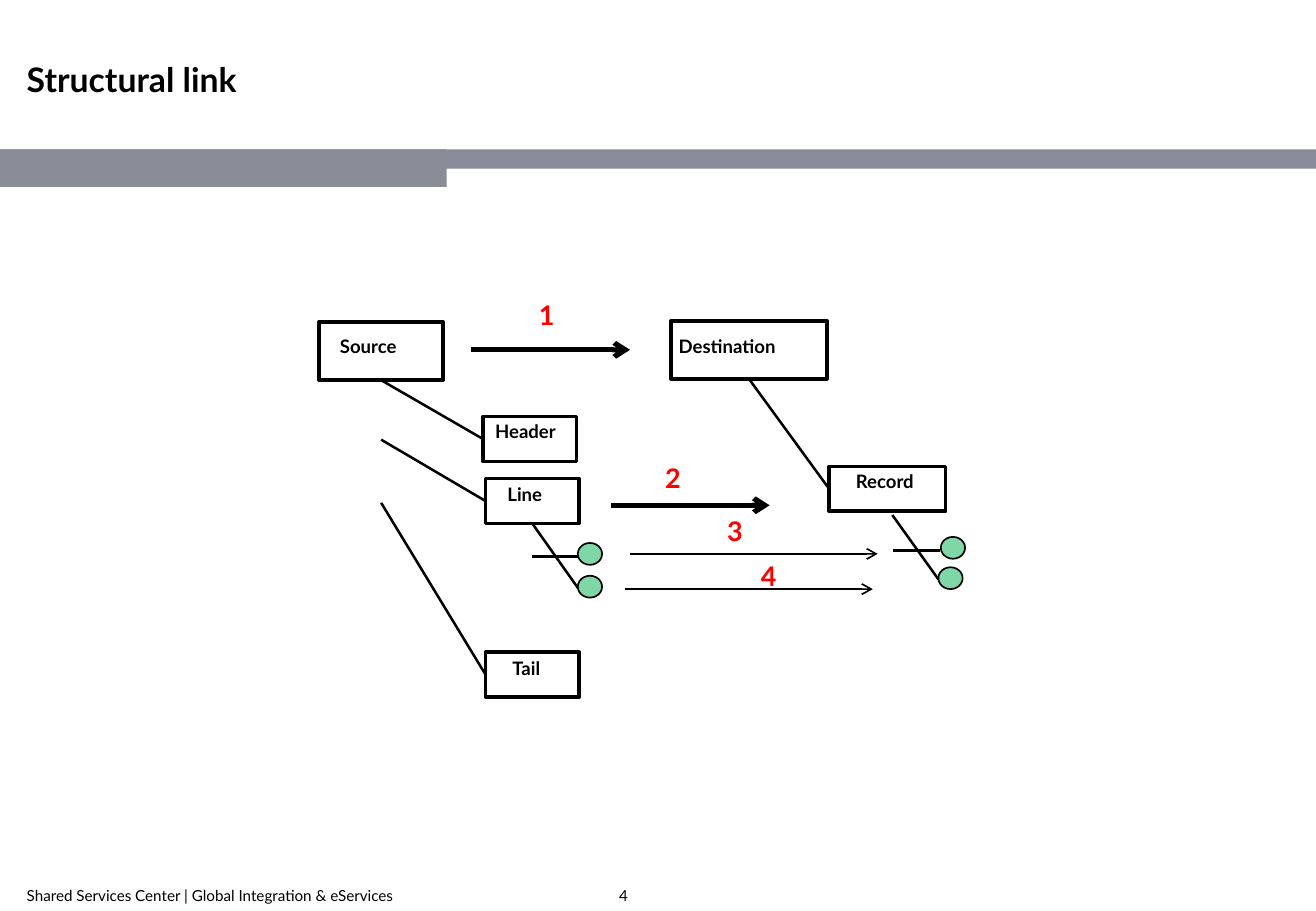
from dataclasses import dataclass
from typing import Optional

from lxml.etree import SubElement
from pptx import Presentation
from pptx.dml.color import RGBColor
from pptx.enum.shapes import MSO_CONNECTOR, MSO_SHAPE
from pptx.enum.text import MSO_ANCHOR, MSO_AUTO_SIZE, PP_ALIGN
from pptx.oxml.ns import qn
from pptx.shapes.autoshape import Shape
from pptx.slide import Slide
from pptx.text.text import TextFrame
from pptx.util import Inches, Pt


@dataclass(frozen=True)
class Theme:
    font: str = "Lato"
    ink: str = "000000"
    step: str = "FF0000"
    band: str = "878C96"
    field: str = "00B050"
    field_alpha: int = 50000
    title_size: float = 20
    step_size: float = 16
    node_size: float = 11
    footer_size: float = 9
    node_line: float = 2.25
    tree_line: float = 1.5
    thin_line: float = 1
    thick_line: float = 3


@dataclass(frozen=True)
class Area:
    left: float
    top: float
    width: float
    height: float

    def lengths(self) -> list[int]:
        return [Inches(v) for v in (self.left, self.top, self.width, self.height)]


@dataclass(frozen=True)
class Node:
    label: str
    area: Area
    indent: float
    drop: float


@dataclass(frozen=True)
class Link:
    start: tuple[float, float]
    end: tuple[float, float]
    weight: float
    arrow: bool = False
    parent: Optional[str] = None
    child: Optional[str] = None


@dataclass(frozen=True)
class Step:
    number: str
    left: float
    top: float


THEME = Theme()
BOTTOM, LEFT = 2, 1

BANDS = [Area(0, 1.23, 10.84, 0.16), Area(0, 1.23, 3.68, 0.31)]
NODES = [
    Node("Source", Area(2.63, 2.65, 1.02, 0.48), 0.17, 0.11),
    Node("Header", Area(3.98, 3.43, 0.77, 0.37), 0.1, 0.03),
    Node("Line", Area(4, 3.94, 0.77, 0.37), 0.18, 0.04),
    Node("Tail", Area(4, 5.37, 0.77, 0.37), 0.22, 0.04),
    Node("Destination", Area(5.53, 2.64, 1.28, 0.48), 0.06, 0.12),
    Node("Record", Area(6.83, 3.84, 0.96, 0.37), 0.22, 0.03),
]
TREE = [
    Link((3.14, 3.13), (3.98, 3.62), THEME.tree_line, parent="Source", child="Header"),
    Link((3.14, 3.62), (4, 4.13), THEME.tree_line, child="Line"),
    Link((3.14, 4.14), (4, 5.55), THEME.tree_line, child="Tail"),
    Link((6.17, 3.12), (6.83, 4.03), THEME.tree_line, parent="Destination", child="Record"),
    Link((4.38, 4.31), (4.76, 4.84), THEME.tree_line, parent="Line"),
    Link((4.38, 4.58), (4.76, 4.58), THEME.tree_line),
    Link((7.35, 4.24), (7.73, 4.77), THEME.tree_line),
    Link((7.36, 4.53), (7.74, 4.53), THEME.tree_line),
]
MAPPINGS = [
    Link((3.88, 2.88), (5.19, 2.88), THEME.thick_line, arrow=True),
    Link((5.03, 4.16), (6.34, 4.16), THEME.thick_line, arrow=True),
    Link((5.19, 4.56), (7.23, 4.56), THEME.thin_line, arrow=True),
    Link((5.15, 4.85), (7.19, 4.85), THEME.thin_line, arrow=True),
]
FIELDS = [
    Area(left, top, 0.2, 0.18)
    for left, top in [(4.76, 4.47), (4.76, 4.74), (7.75, 4.42), (7.73, 4.67)]
]
STEPS = [
    Step("1", 4.34, 2.41),
    Step("2", 5.38, 3.75),
    Step("3", 5.89, 4.19),
    Step("4", 6.17, 4.56),
]
FOOTERS = {
    "Shared Services Center | Global Integration & eServices": Area(0.22, 7.29, 4.65, 0.16),
    "4": Area(5.1, 7.29, 0.63, 0.16),
}


def write(frame: TextFrame, text: str, size: float, color: str, bold: bool = True,
          insets: tuple[float, float] = (0, 0), wrap: bool = True,
          anchor: MSO_ANCHOR = MSO_ANCHOR.TOP) -> None:
    frame.text = text
    frame.word_wrap = wrap
    frame.auto_size = MSO_AUTO_SIZE.NONE
    frame.vertical_anchor = anchor
    frame.margin_left, frame.margin_top = (Inches(v) for v in insets)
    frame.margin_right = frame.margin_bottom = 0
    paragraph = frame.paragraphs[0]
    paragraph.alignment = PP_ALIGN.LEFT
    font = paragraph.runs[0].font
    font.name = THEME.font
    font.size = Pt(size)
    font.bold = bold
    font.color.rgb = RGBColor.from_string(color)


def add_figure(slide: Slide, kind: MSO_SHAPE, area: Area, fill: Optional[str] = None,
               weight: float = 0) -> Shape:
    figure = slide.shapes.add_shape(kind, *area.lengths())
    figure.shadow.inherit = False
    if fill:
        figure.fill.solid()
        figure.fill.fore_color.rgb = RGBColor.from_string(fill)
    else:
        figure.fill.background()
    if weight:
        figure.line.width = Pt(weight)
        figure.line.color.rgb = RGBColor.from_string(THEME.ink)
    else:
        figure.line.fill.background()
    return figure


def add_node(slide: Slide, node: Node) -> Shape:
    box = add_figure(slide, MSO_SHAPE.RECTANGLE, node.area, weight=THEME.node_line)
    write(box.text_frame, node.label, THEME.node_size, THEME.ink,
          insets=(node.indent, node.drop))
    return box


def add_field(slide: Slide, area: Area) -> None:
    dot = add_figure(slide, MSO_SHAPE.OVAL, area, THEME.field, THEME.thin_line)
    color = dot.fill._xPr.find(qn("a:solidFill"))[0]
    SubElement(color, qn("a:alpha"), val=str(THEME.field_alpha))


def add_link(slide: Slide, link: Link, boxes: dict[str, Shape]) -> None:
    ends = [Inches(v) for v in (*link.start, *link.end)]
    connector = slide.shapes.add_connector(MSO_CONNECTOR.STRAIGHT, *ends)
    connector.line.width = Pt(link.weight)
    connector.line.color.rgb = RGBColor.from_string(THEME.ink)
    if link.arrow:
        SubElement(connector.line._get_or_add_ln(), qn("a:tailEnd"), type="arrow")
    SubElement(connector._element.spPr, qn("a:effectLst"))
    if link.parent:
        connector.begin_connect(boxes[link.parent], BOTTOM)
    if link.child:
        connector.end_connect(boxes[link.child], LEFT)


def main() -> None:
    deck = Presentation()
    deck.slide_width, deck.slide_height = Inches(10.84), Inches(7.5)
    slide = deck.slides.add_slide(deck.slide_layouts[5])
    title = slide.shapes.title
    title.left, title.top, title.width, title.height = Area(0.22, 0.48, 7.56, 0.71).lengths()
    write(title.text_frame, "Structural link", THEME.title_size, THEME.ink)

    for band in BANDS:
        add_figure(slide, MSO_SHAPE.RECTANGLE, band, THEME.band)
    boxes = {node.label: add_node(slide, node) for node in NODES}
    for link in TREE + MAPPINGS:
        add_link(slide, link, boxes)
    for field in FIELDS:
        add_field(slide, field)
    for step in STEPS:
        number = slide.shapes.add_textbox(*Area(step.left, step.top, 0.32, 0.37).lengths())
        write(number.text_frame, step.number, THEME.step_size, THEME.step,
              insets=(0.1, 0.05), wrap=False)
    for text, area in FOOTERS.items():
        footer = slide.shapes.add_textbox(*area.lengths())
        write(footer.text_frame, text, THEME.footer_size, THEME.ink, bold=False,
              anchor=MSO_ANCHOR.MIDDLE)
    deck.save("out.pptx")


if __name__ == "__main__":
    main()
